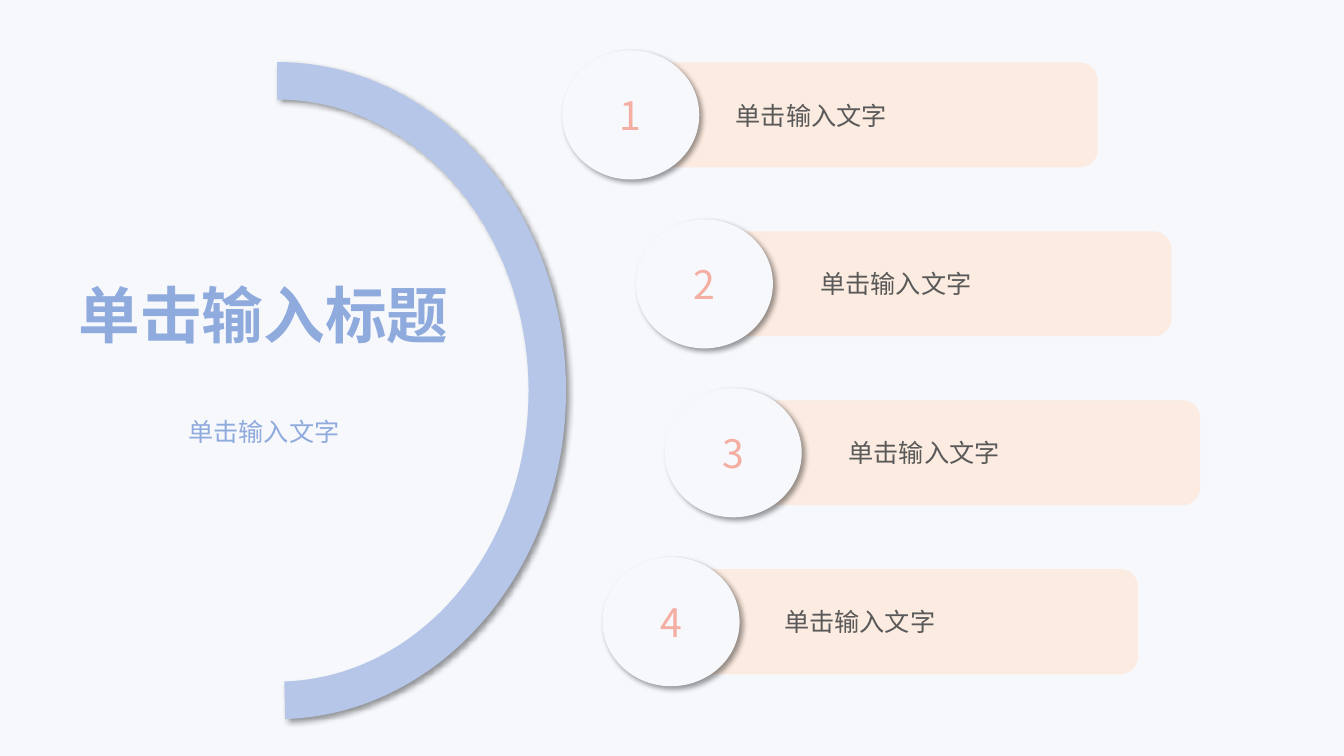
import lxml.etree
import pptx
import pptx.util
import pptx.dml.color
import pptx.enum.shapes
import pptx.enum.text
import pptx.oxml.ns

Pt = pptx.util.Pt
RGB = pptx.dml.color.RGBColor.from_string
SHAPE = pptx.enum.shapes.MSO_SHAPE
ALIGN = pptx.enum.text.PP_ALIGN
ANCHOR = pptx.enum.text.MSO_ANCHOR
qn = pptx.oxml.ns.qn

TITLE = "单击输入标题"
SUBTITLE = "单击输入文字"
ITEMS = [
    {"label": "单击输入文字", "bar_left": 457.2, "label_left": 518.4},
    {"label": "单击输入文字", "bar_left": 509.8, "label_left": 578.9},
    {"label": "单击输入文字", "bar_left": 530.4, "label_left": 599},
    {"label": "单击输入文字", "bar_left": 486, "label_left": 553},
]

THEME = {
    "font": "Noto Sans CJK SC",
    "background": "F6F8FC",
    "bar": "FCEBE0",
    "arc": "B5C6E8",
    "shadow": "000000",
    "title": {"size": Pt(44), "bold": True, "color": "8FAADC"},
    "subtitle": {"size": Pt(18), "bold": False, "color": "8FAADC"},
    "label": {"size": Pt(18), "bold": False, "color": "595959"},
    "number": {"size": Pt(28), "bold": False, "color": "F4AEA2"},
}

SLIDE_SIZE = (960, 540)
BAR_SIZE = (326.9, 74.9)
CIRCLE_SIZE = (97.9, 92.2)
LABEL_SIZE = (141.8, 29)
CIRCLE_OFFSET = -55.6
FIRST_CENTRE = 82.1
ROW_STEP = 120.65


def write(holder, text, style, align=ALIGN.LEFT):
    frame = holder.text_frame
    for name, value in {
        "text": text, "word_wrap": True, "vertical_anchor": ANCHOR.MIDDLE,
        "auto_size": pptx.enum.text.MSO_AUTO_SIZE.NONE,
    }.items():
        setattr(frame, name, value)
    paragraph = frame.paragraphs[0]
    paragraph.alignment = align
    font = paragraph.runs[0].font
    for name, value in {
        "name": THEME["font"], "size": style["size"], "bold": style["bold"],
    }.items():
        setattr(font, name, value)
    font.color.rgb = RGB(style["color"])
    east_asian = lxml.etree.SubElement(font._element, qn("a:ea"))
    east_asian.set("typeface", THEME["font"])


def add_filled(slide, kind, box, color, shadowed=False):
    part = slide.shapes.add_shape(kind, *map(Pt, box))
    part.fill.solid()
    part.fill.fore_color.rgb = RGB(color)
    part.line.fill.background()
    part.shadow.inherit = False
    if shadowed:
        effects = part._element.spPr.find(qn("a:effectLst"))
        shadow = lxml.etree.SubElement(
            effects, qn("a:outerShdw"), blurRad=str(Pt(4)), dist=str(Pt(3)),
            dir="2700000", algn="tl", rotWithShape="0")
        tint = lxml.etree.SubElement(shadow, qn("a:srgbClr"), val=THEME["shadow"])
        lxml.etree.SubElement(tint, qn("a:alpha"), val="40000")
    return part


def add_label(slide, left, top, text, style):
    label = slide.shapes.add_textbox(*map(Pt, (left, top, *LABEL_SIZE)))
    write(label, text, style)


def add_item(slide, index, item):
    centre = FIRST_CENTRE + index * ROW_STEP
    bar_left = item["bar_left"]
    add_filled(slide, SHAPE.ROUNDED_RECTANGLE,
               (bar_left, centre - BAR_SIZE[1] / 2, *BAR_SIZE), THEME["bar"])
    circle = add_filled(
        slide, SHAPE.OVAL,
        (bar_left + CIRCLE_OFFSET, centre - CIRCLE_SIZE[1] / 2, *CIRCLE_SIZE),
        THEME["background"], shadowed=True)
    write(circle, str(index + 1), THEME["number"], ALIGN.CENTER)
    add_label(slide, item["label_left"], centre - LABEL_SIZE[1] / 2,
              item["label"], THEME["label"])


def main():
    deck = pptx.Presentation()
    deck.slide_width, deck.slide_height = map(Pt, SLIDE_SIZE)
    slide = deck.slides.add_slide(deck.slide_layouts[5])
    slide.background.fill.solid()
    slide.background.fill.fore_color.rgb = RGB(THEME["background"])

    title = slide.shapes.title
    for name, value in {"left": 49, "top": 193.7, "width": 298.8, "height": 60.5}.items():
        setattr(title, name, Pt(value))
    write(title, TITLE, THEME["title"])
    add_label(slide, 127.4, 293.8, SUBTITLE, THEME["subtitle"])

    arc = add_filled(slide, SHAPE.BLOCK_ARC, (-36.7, 72.7, 469.4, 412.6),
                     THEME["arc"], shadowed=True)
    arc.rotation = 90
    for index, value in enumerate((108, 215.16, 0.065)):
        arc.adjustments[index] = value

    for index, item in enumerate(ITEMS):
        add_item(slide, index, item)
    deck.save("out.pptx")


if __name__ == "__main__":
    main()
